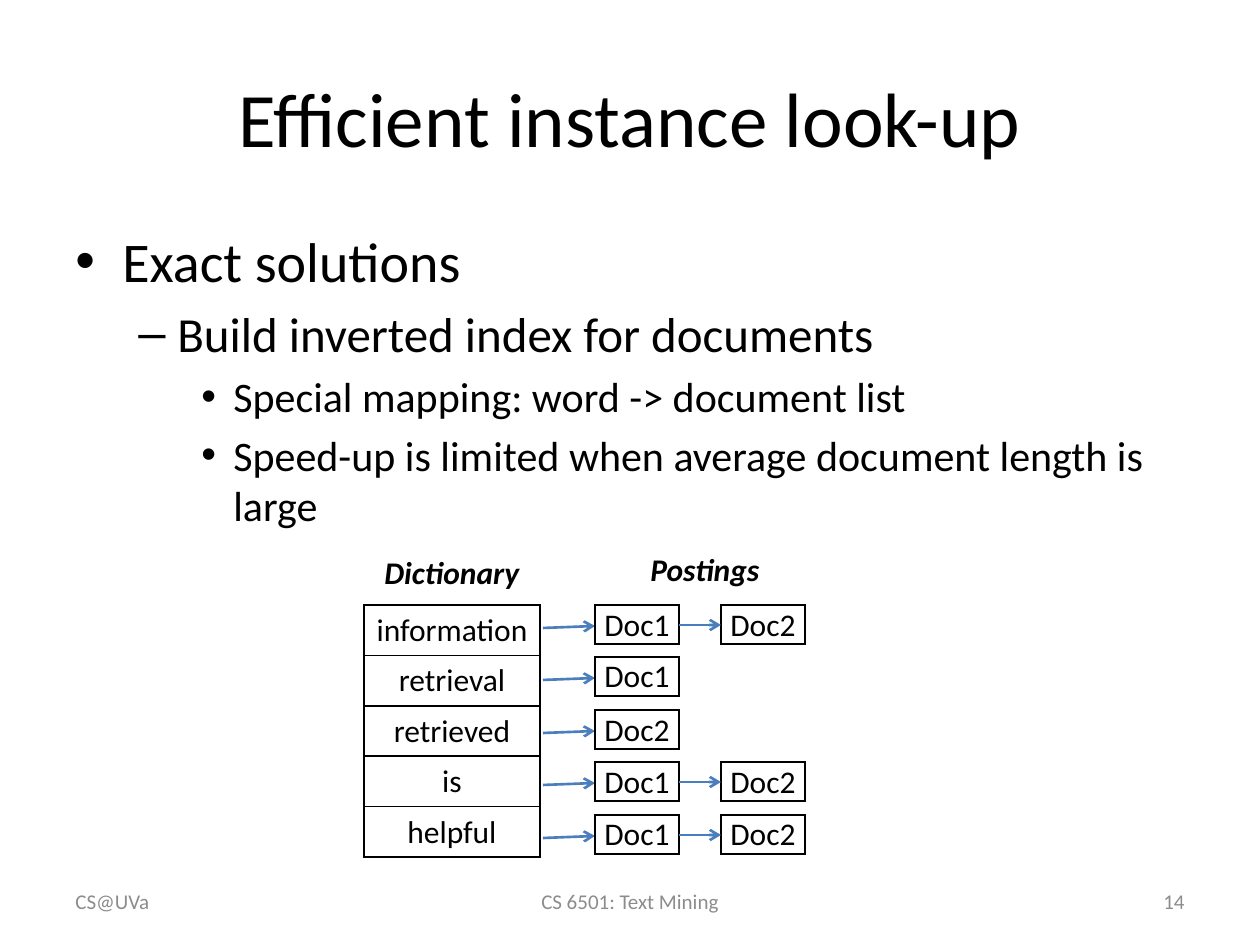
from lxml import etree
from pptx import Presentation
from pptx.dml.color import RGBColor
from pptx.enum.shapes import MSO_CONNECTOR
from pptx.enum.text import MSO_ANCHOR, PP_ALIGN
from pptx.oxml.ns import qn
from pptx.util import Emu, Pt

LEFT, CENTER, RIGHT = PP_ALIGN.LEFT, PP_ALIGN.CENTER, PP_ALIGN.RIGHT
TOP, MIDDLE = MSO_ANCHOR.TOP, MSO_ANCHOR.MIDDLE
STRAIGHT = MSO_CONNECTOR.STRAIGHT

BLACK = RGBColor(0x00, 0x00, 0x00)
GRAY = RGBColor(0x8C, 0x8C, 0x8C)
BLUE = RGBColor(0x4B, 0x7E, 0xBC)
FONT = "Calibri"
PX_PER_INCH = 126

# level: (bullet, left margin px, hanging px, size pt)
LEVELS = [("•", 47, 47, 32), ("–", 102, 39, 28), ("•", 158, 32, 24)]
OUTLINE = [
    (0, "Exact solutions"),
    (1, "Build inverted index for documents"),
    (2, "Special mapping: word -> document list"),
    (2, "Speed-up is limited when average document length is large"),
]
POSTINGS = {
    "information": ["Doc1", "Doc2"],
    "retrieval": ["Doc1"],
    "retrieved": ["Doc2"],
    "is": ["Doc1", "Doc2"],
    "helpful": ["Doc1", "Doc2"],
}


def px(length):
    return Emu(round(length * 914400 / PX_PER_INCH))


def write(paragraph, text, size=18, color=BLACK, align=LEFT, bold=False, italic=False):
    paragraph.alignment = align
    run = paragraph.add_run()
    run.text = text
    font = run.font
    font.name, font.size, font.bold, font.italic = FONT, Pt(size), bold, italic
    font.color.rgb = color


def add_text_frame(slide, x, y, w, h, anchor=TOP):
    frame = slide.shapes.add_textbox(px(x), px(y), px(w), px(h)).text_frame
    frame.word_wrap = True
    frame.vertical_anchor = anchor
    return frame


def add_title(slide, x, y, w, h):
    title = slide.shapes.title
    title.left, title.top, title.width, title.height = px(x), px(y), px(w), px(h)
    title.text_frame.vertical_anchor = MIDDLE
    write(title.text_frame.paragraphs[0], "Efficient instance look-up", size=44, align=CENTER)


def set_bullet(paragraph, bullet, margin, hanging):
    properties = paragraph._p.get_or_add_pPr()
    properties.set("marL", str(px(margin)))
    properties.set("indent", str(-px(hanging)))
    etree.SubElement(properties, qn("a:buFont"), typeface="Arial")
    etree.SubElement(properties, qn("a:buChar"), char=bullet)


def add_outline(slide, x, y, w, h):
    frame = add_text_frame(slide, x, y, w, h)
    for index, (level, text) in enumerate(OUTLINE):
        paragraph = frame.add_paragraph() if index else frame.paragraphs[0]
        bullet, margin, hanging, size = LEVELS[level]
        set_bullet(paragraph, bullet, margin, hanging)
        paragraph.level = level
        if index:
            paragraph.space_before = Pt(size * 0.2)
        write(paragraph, text, size=size)


def add_borders(cell):
    properties = cell._tc.get_or_add_tcPr()
    for side in ("lnL", "lnR", "lnT", "lnB"):
        border = etree.SubElement(properties, qn(f"a:{side}"), w=str(Pt(1)))
        fill = etree.SubElement(border, qn("a:solidFill"))
        etree.SubElement(fill, qn("a:srgbClr"), val=str(BLACK))


def add_word_table(slide, words, x, y, w, h):
    """Add a one-column bordered table with one word in each row."""
    table = slide.shapes.add_table(len(words), 1, px(x), px(y), px(w), px(h)).table
    table.first_row = table.horz_banding = False
    for row, word in enumerate(words):
        cell = table.cell(row, 0)
        cell.margin_left = cell.margin_right = cell.margin_top = px(1)
        cell.margin_bottom = 0
        cell.vertical_anchor = MIDDLE
        add_borders(cell)
        cell.fill.background()
        write(cell.text_frame.paragraphs[0], word, align=CENTER)


def add_arrow(slide, x1, y1, x2, y2):
    arrow = slide.shapes.add_connector(STRAIGHT, px(x1), px(y1), px(x2), px(y2))
    arrow.line.color.rgb = BLUE
    arrow.line.width = Pt(1.5)
    etree.SubElement(arrow.line._get_or_add_ln(), qn("a:tailEnd"), type="arrow")
    etree.SubElement(arrow._element.spPr, qn("a:effectLst"))


def add_inverted_index(slide, x, y):
    table_y = y + 61
    dictionary_w, dictionary_h = 176, 252
    doc_w, doc_h, doc_gap = 84, 39, 42
    docs_x = x + 231
    last_row_offset = 210

    add_word_table(slide, list(POSTINGS), x, table_y, dictionary_w, dictionary_h)
    for row, docs in enumerate(POSTINGS.values()):
        row_y = table_y + row * last_row_offset // (len(POSTINGS) - 1)
        add_arrow(slide, x + dictionary_w + 3, row_y + 23, docs_x, row_y + 21)
        for column, doc in enumerate(docs):
            doc_x = docs_x + column * (doc_w + doc_gap)
            add_word_table(slide, [doc], doc_x, row_y, doc_w, doc_h)
            if column:
                add_arrow(slide, doc_x - doc_gap, row_y + 20, doc_x, row_y + 20)

    for heading, dx, dy in (("Dictionary", 8, 3), ("Postings", 274, 0)):
        frame = add_text_frame(slide, x + dx, y + dy, 193, 50)
        write(frame.paragraphs[0], heading, bold=True, italic=True)


def add_footer(slide, x, y, w, h):
    side_w, center_w = 294, 400
    parts = [
        ("CS@UVa", x, side_w, LEFT),
        ("CS 6501: Text Mining", x + (w - center_w) // 2, center_w, CENTER),
        ("14", x + w - side_w, side_w, RIGHT),
    ]
    for text, part_x, part_w, align in parts:
        frame = add_text_frame(slide, part_x, y, part_w, h, anchor=MIDDLE)
        write(frame.paragraphs[0], text, size=12, color=GRAY, align=align)


def main():
    deck = Presentation()
    deck.slide_width, deck.slide_height = px(1260), px(945)
    slide = deck.slides.add_slide(deck.slide_layouts[5])
    add_title(slide, 63, 38, 1134, 157)
    add_outline(slide, 63, 220, 1134, 624)
    add_footer(slide, 63, 876, 1134, 50)
    add_inverted_index(slide, 364, 544)
    deck.save("out.pptx")


if __name__ == "__main__":
    main()
